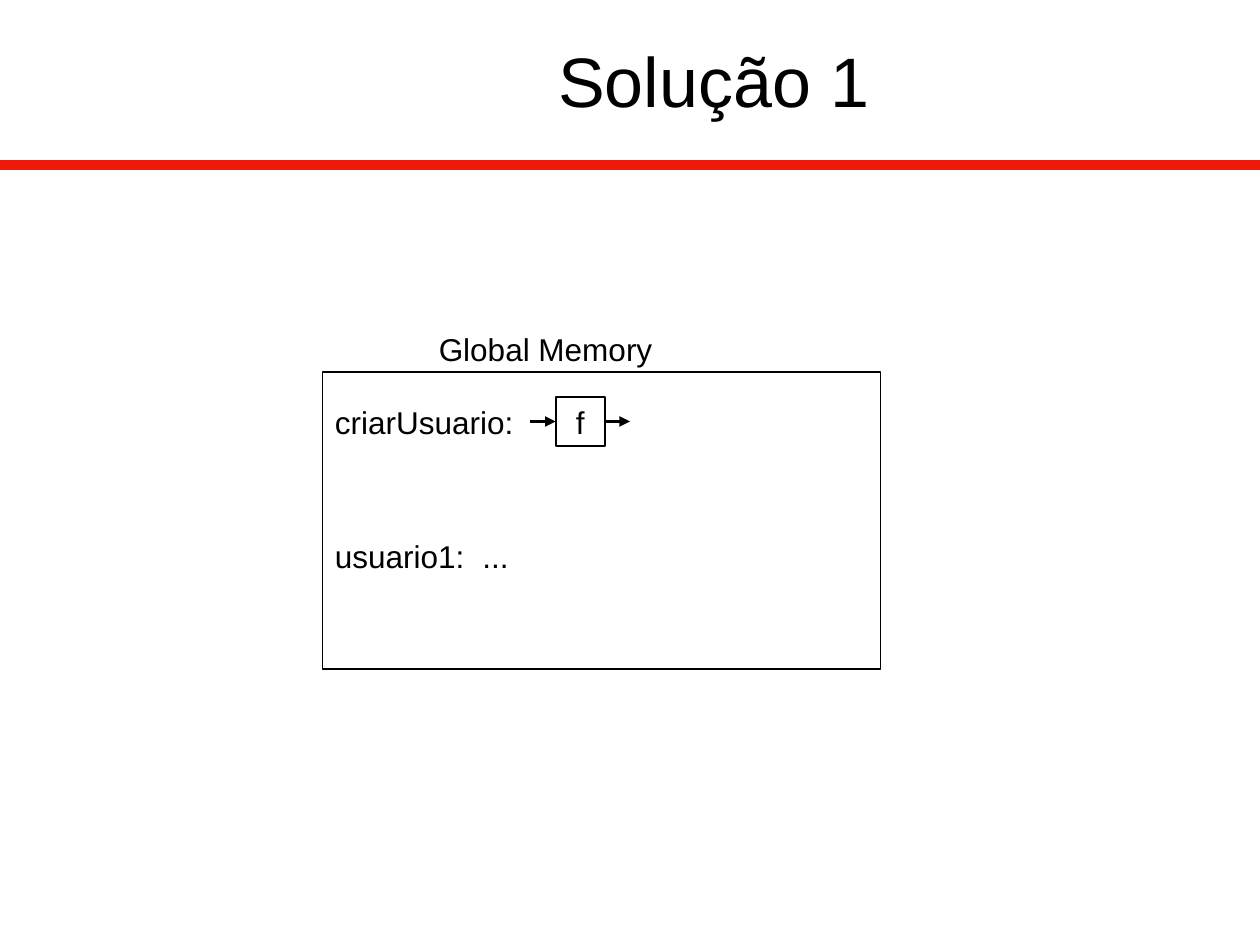
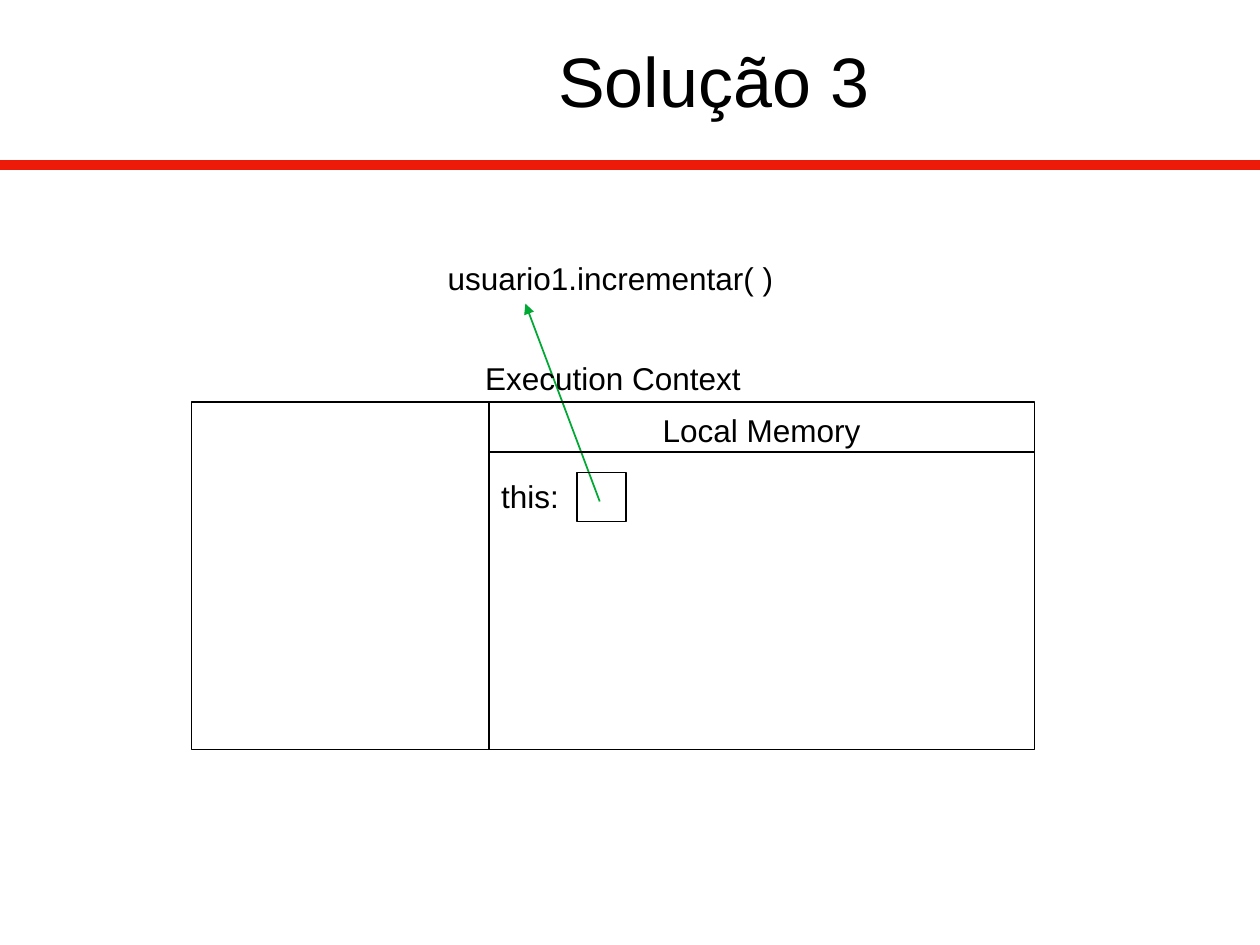
from dataclasses import dataclass

from lxml import etree
from pptx import Presentation
from pptx.dml.color import RGBColor
from pptx.enum.shapes import MSO_CONNECTOR, MSO_SHAPE
from pptx.enum.text import MSO_ANCHOR, PP_ALIGN
from pptx.oxml.ns import qn
from pptx.util import Inches, Pt

STRAIGHT = MSO_CONNECTOR.STRAIGHT
RECTANGLE = MSO_SHAPE.RECTANGLE
TOP, MIDDLE = MSO_ANCHOR.TOP, MSO_ANCHOR.MIDDLE
LEFT, CENTER = PP_ALIGN.LEFT, PP_ALIGN.CENTER
LEFT_SIDE, RIGHT_SIDE = 1, 3


@dataclass(frozen=True)
class Theme:
    font: str = "Arial"
    ink: RGBColor = RGBColor(0x00, 0x00, 0x00)
    band: RGBColor = RGBColor(0xED, 0x19, 0x09)
    reference: RGBColor = RGBColor(0x00, 0xA9, 0x33)
    title_size: int = 40
    body_size: int = 18
    band_width: int = 6
    line_width: int = 1


THEME = Theme()

# Content: boxes are left, top, width, height in inches
SLIDE_WIDTH, SLIDE_HEIGHT = 10, 7.5
TITLE_BOX = (1.53, -0.09, 8.27, 1.44)
BAND_Y = 1.31
LABEL_HEIGHT = 0.4
ENTRY_WIDTH = 2.36
CELL = 0.39

GLOBAL_MEMORY = {
    "title": "Solução 1",
    "caption": ("Global Memory", 2.57, 3.54),
    "frame": (2.56, 2.95, 4.43, 2.36),
    "entries": [("criarUsuario:", 3.15), ("usuario1:\t...", 4.21)],
    "value_tab": 1.17,
    "function": ("f", 4.41, 3.15),
    "arrow_length": 0.2,
}

EXECUTION_CONTEXT = {
    "title": "Solução 3",
    "call": ("usuario1.incrementar( )", 1.5, 2.01),
    "caption": ("Execution Context", 2.8),
    "frame": (1.52, 3.19, 6.69, 2.76),
    "divider_x": 3.88,
    "memory_header": ("Local Memory", 3.21, 3.59),
    "entry": ("this:", 3.74),
    "reference_cell": (4.58, 3.75),
    "reference": ((4.76, 3.98), (4.17, 2.41)),
}


def inches(values):
    return [Inches(value) for value in values]


def write(frame, text, size, align, anchor, tab=None):
    frame.vertical_anchor = anchor
    paragraph = frame.paragraphs[0]
    paragraph.text = text
    paragraph.alignment = align
    if tab:
        stops = etree.SubElement(paragraph._p.get_or_add_pPr(), qn("a:tabLst"))
        etree.SubElement(stops, qn("a:tab"), pos=str(Inches(tab)), algn="l")
    font = paragraph.font
    font.name, font.size, font.color.rgb = THEME.font, Pt(size), THEME.ink


def add_label(slide, text, box, size=THEME.body_size, align=CENTER, anchor=TOP, tab=None):
    frame = slide.shapes.add_textbox(*inches(box)).text_frame
    frame.word_wrap = True
    write(frame, text, size, align, anchor, tab)


def add_entry(slide, text, left, top, tab=None):
    add_label(slide, text, (left, top, ENTRY_WIDTH, LABEL_HEIGHT), align=LEFT, tab=tab)


def add_outline(slide, box):
    outline = slide.shapes.add_shape(RECTANGLE, *inches(box))
    outline.shadow.inherit = False
    outline.fill.background()
    outline.line.color.rgb = THEME.ink
    outline.line.width = Pt(THEME.line_width)
    return outline


def add_line(slide, start, end, color=THEME.ink, width=THEME.line_width, arrow=False):
    line = slide.shapes.add_connector(STRAIGHT, *inches((*start, *end)))
    line.line.color.rgb = color
    line.line.width = Pt(width)
    if arrow:
        etree.SubElement(line.line._get_or_add_ln(), qn("a:tailEnd"), type="triangle")
    etree.SubElement(line._element.spPr, qn("a:effectLst"))
    return line


def start_slide(deck, title):
    slide = deck.slides.add_slide(deck.slide_layouts[6])
    add_line(slide, (0, BAND_Y), (SLIDE_WIDTH, BAND_Y), THEME.band, THEME.band_width)
    add_label(slide, title, TITLE_BOX, THEME.title_size, anchor=MIDDLE)
    return slide


def build_global_memory(deck, content):
    slide = start_slide(deck, content["title"])
    left = content["frame"][0]

    # Memory frame and its entries
    caption, caption_top, caption_width = content["caption"]
    add_label(slide, caption, (left, caption_top, caption_width, LABEL_HEIGHT))
    add_outline(slide, content["frame"])
    for text, top in content["entries"]:
        tab = content["value_tab"] if "\t" in text else None
        add_entry(slide, text, left, top, tab)

    # Function cell with an arrow in and an arrow out
    name, x, y = content["function"]
    function = add_outline(slide, (x, y, CELL, CELL))
    function.text_frame.word_wrap = False
    write(function.text_frame, name, THEME.body_size, CENTER, MIDDLE)
    middle, right, length = y + CELL / 2, x + CELL, content["arrow_length"]
    arrow_in = add_line(slide, (x - length, middle), (x, middle), width=0, arrow=True)
    arrow_in.end_connect(function, LEFT_SIDE)
    arrow_out = add_line(slide, (right, middle), (right + length, middle), width=0, arrow=True)
    arrow_out.begin_connect(function, RIGHT_SIDE)


def build_execution_context(deck, content):
    slide = start_slide(deck, content["title"])
    left, top, width, height = content["frame"]
    right, bottom = left + width, top + height
    divider = content["divider_x"]

    # Reference from the cell up to the calling object
    add_line(slide, *content["reference"], color=THEME.reference, arrow=True)

    # Context frame split into code and local memory
    header, header_top, header_bottom = content["memory_header"]
    add_line(slide, (divider, top), (divider, bottom))
    add_line(slide, (divider, header_bottom), (right, header_bottom))
    caption, caption_top = content["caption"]
    add_label(slide, caption, (left, caption_top, width, LABEL_HEIGHT))
    add_label(slide, header, (divider, header_top, right - divider, LABEL_HEIGHT))
    entry, entry_top = content["entry"]
    add_entry(slide, entry, divider, entry_top)
    add_outline(slide, content["frame"])

    # Method call and reference cell
    call, call_left, call_top = content["call"]
    add_label(slide, call, (call_left, call_top, width, LABEL_HEIGHT))
    add_outline(slide, (*content["reference_cell"], CELL, CELL))


def main():
    deck = Presentation()
    deck.slide_width, deck.slide_height = inches((SLIDE_WIDTH, SLIDE_HEIGHT))
    build_global_memory(deck, GLOBAL_MEMORY)
    build_execution_context(deck, EXECUTION_CONTEXT)
    deck.save("out.pptx")


if __name__ == "__main__":
    main()
